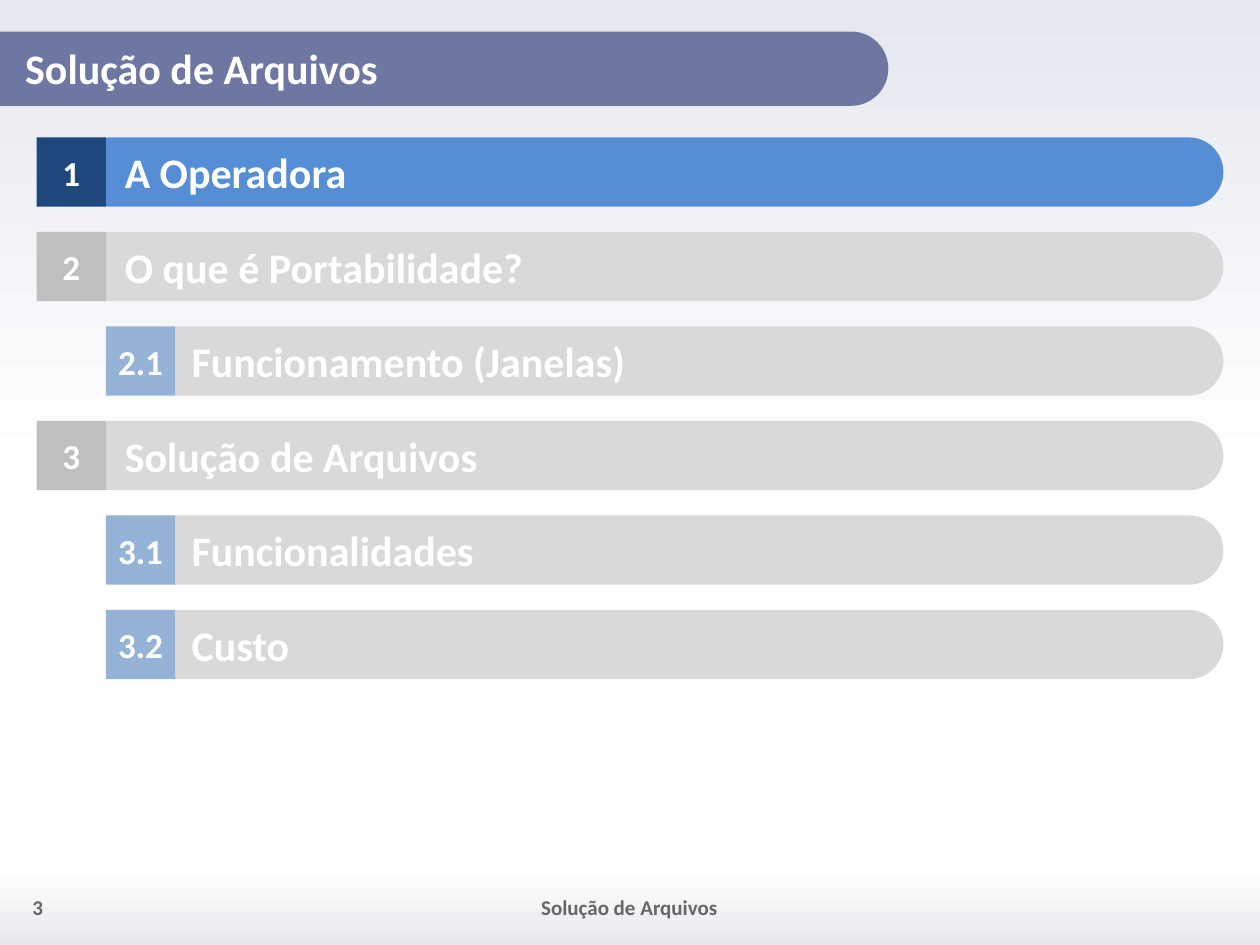
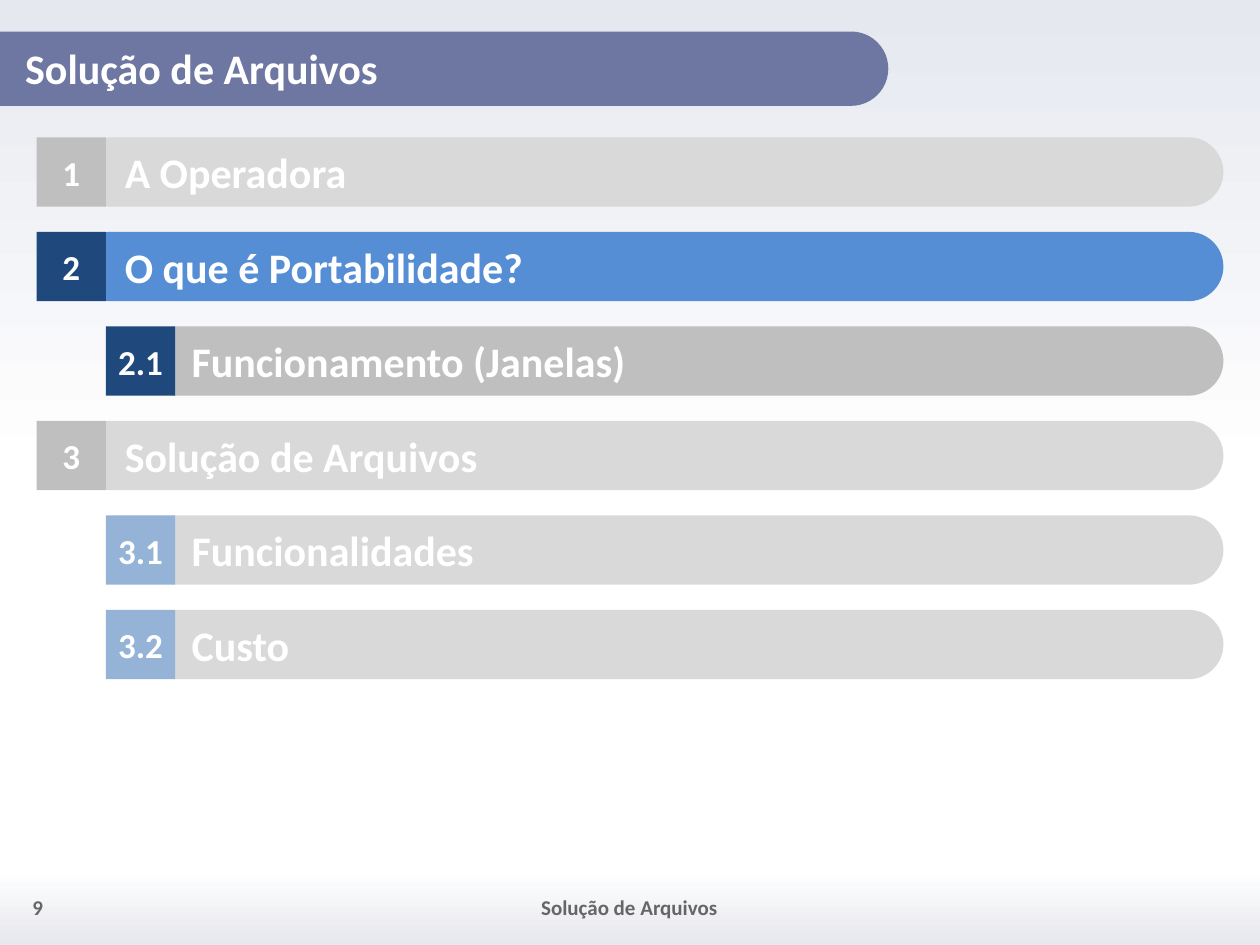
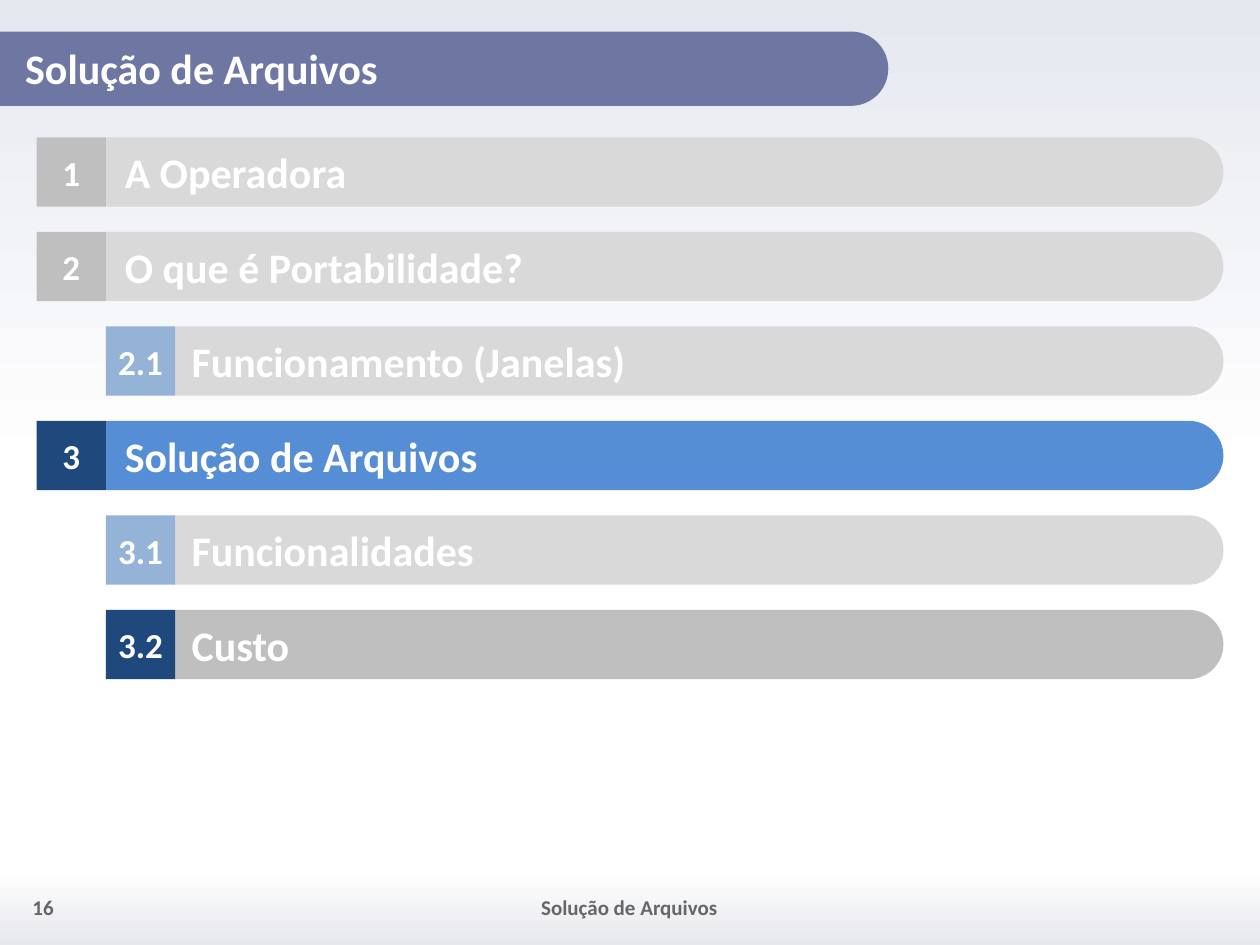
import dataclasses
import typing

import pptx
import pptx.dml.color
import pptx.dml.fill
import pptx.enum.shapes
import pptx.enum.text
import pptx.shapes.autoshape
import pptx.slide
import pptx.util

SHAPE = pptx.enum.shapes.MSO_SHAPE
ALIGN = pptx.enum.text.PP_ALIGN
ANCHOR = pptx.enum.text.MSO_ANCHOR

COLORS = {
    "sky": "E5E8EF",
    "footer band": "E7E8ED",
    "title bar": "6E77A2",
    "footer text": "666666",
    "white": "FFFFFF",
    "navy": "1F497D",
    "blue": "558ED5",
    "pale blue": "95B3D7",
    "gray": "BFBFBF",
    "pale gray": "D9D9D9",
}
FONT = "Calibri"
TITLE = "Solução de Arquivos"

SLIDE_WIDTH, SLIDE_HEIGHT = 10, 7.5
MARGIN = 0.29
TILE = 0.55
FIRST_ROW = 1.09
ROW_PITCH = SLIDE_HEIGHT / 10
BAND_HEIGHT = SLIDE_HEIGHT * 0.08
FOOTER_TOP, FOOTER_HEIGHT = 7, 0.4
TITLE_BAR_LENGTH, TITLE_BAR_HEIGHT, TITLE_BAR_TOP = 7.05, 0.59, 0.25


class Box(typing.NamedTuple):
    left: float
    top: float
    width: float
    height: float


class Insets(typing.NamedTuple):
    left: float = 0.1
    top: float = 0.05
    right: float = 0.1
    bottom: float = 0.05


class RowColors(typing.NamedTuple):
    tile: str
    bar: str


@dataclasses.dataclass(frozen=True)
class Topic:
    number: str
    name: str

    @property
    def level(self) -> int:
        return self.number.count(".")


@dataclasses.dataclass(frozen=True)
class AgendaSlide:
    page: int
    active: tuple[str, ...]


@dataclasses.dataclass(frozen=True)
class TextStyle:
    size: int
    color: str = "white"
    align: ALIGN = ALIGN.LEFT
    anchor: ANCHOR = ANCHOR.MIDDLE
    insets: Insets = Insets()


TITLE_STYLE = TextStyle(24, anchor=ANCHOR.BOTTOM, insets=Insets(0.2, 0, 0.2, 0.1))
BAR_STYLE = TextStyle(24, insets=Insets(left=0.31))
TILE_STYLE = TextStyle(20, align=ALIGN.CENTER, insets=Insets(0, 0, 0, 0))
FOOTER_STYLE = TextStyle(12, "footer text", ALIGN.CENTER)
PAGE_STYLE = TextStyle(12, "footer text")

# Both are indexed by topic level.
BAR_OFFSETS = (0.31, 0.29)
ROW_COLORS = (
    {True: RowColors("navy", "blue"), False: RowColors("gray", "pale gray")},
    {True: RowColors("navy", "gray"), False: RowColors("pale blue", "pale gray")},
)

TOPICS = (
    Topic("1", "A Operadora"),
    Topic("2", "O que é Portabilidade?"),
    Topic("2.1", "Funcionamento (Janelas)"),
    Topic("3", "Solução de Arquivos"),
    Topic("3.1", "Funcionalidades"),
    Topic("3.2", "Custo"),
)
SLIDES = (
    AgendaSlide(3, ("1",)),
    AgendaSlide(9, ("2", "2.1")),
    AgendaSlide(16, ("3", "3.2")),
)


def rgb(color: str) -> pptx.dml.color.RGBColor:
    return pptx.dml.color.RGBColor.from_string(COLORS[color])


def inches(box: Box) -> list[pptx.util.Length]:
    return [pptx.util.Inches(length) for length in box]


def fade_to_white(
    fill: pptx.dml.fill.FillFormat, color: str, end: float, angle: int
) -> None:
    """Fill with a gradient; the angle runs counter-clockwise."""
    fill.gradient()
    fill.gradient_angle = angle
    for stop, name, position in zip(fill.gradient_stops, (color, "white"), (0, end)):
        stop.color.rgb = rgb(name)
        stop.position = position


def write(
    shape: pptx.shapes.autoshape.Shape, text: str, style: TextStyle
) -> None:
    frame = shape.text_frame
    frame.word_wrap = True
    frame.vertical_anchor = style.anchor
    (frame.margin_left, frame.margin_top, frame.margin_right,
     frame.margin_bottom) = map(pptx.util.Inches, style.insets)
    paragraph = frame.paragraphs[0]
    paragraph.text = text
    paragraph.alignment = style.align
    paragraph.font.name = FONT
    paragraph.font.size = pptx.util.Pt(style.size)
    paragraph.font.bold = True
    paragraph.font.color.rgb = rgb(style.color)


def add_text(slide: pptx.slide.Slide, box: Box, text: str, style: TextStyle) -> None:
    write(slide.shapes.add_textbox(*inches(box)), text, style)


def add_plain_shape(
    slide: pptx.slide.Slide, kind: SHAPE, box: Box, color: str
) -> pptx.shapes.autoshape.Shape:
    """Add a shape without outline or shadow."""
    shape = slide.shapes.add_shape(kind, *inches(box))
    shape.shadow.inherit = False
    shape.line.fill.background()
    shape.fill.solid()
    shape.fill.fore_color.rgb = rgb(color)
    return shape


def add_title_bar(slide: pptx.slide.Slide) -> None:
    # The upright shape turns about its centre to lie along the left edge.
    turn = (TITLE_BAR_LENGTH - TITLE_BAR_HEIGHT) / 2
    box = Box(turn, TITLE_BAR_TOP - turn, TITLE_BAR_HEIGHT, TITLE_BAR_LENGTH)
    bar = add_plain_shape(slide, SHAPE.ROUND_2_SAME_RECTANGLE, box, "title bar")
    bar.rotation = 90
    bar.adjustments[0], bar.adjustments[1] = 0.5, 0


def add_frame(slide: pptx.slide.Slide, page: int) -> None:
    """Draw the background, title and footer that every slide shares."""
    fade_to_white(slide.background.fill, "sky", 0.5, 270)
    band_box = Box(0, SLIDE_HEIGHT - BAND_HEIGHT, SLIDE_WIDTH, BAND_HEIGHT)
    band = add_plain_shape(slide, SHAPE.RECTANGLE, band_box, "footer band")
    fade_to_white(band.fill, "footer band", 1, 90)
    add_title_bar(slide)
    title_box = Box(0, 0, SLIDE_WIDTH, TITLE_BAR_TOP + TITLE_BAR_HEIGHT)
    add_text(slide, title_box, TITLE, TITLE_STYLE)
    footer_box = Box(1.95, FOOTER_TOP, 6.09, FOOTER_HEIGHT)
    add_text(slide, footer_box, TITLE, FOOTER_STYLE)
    add_text(slide, Box(0.16, FOOTER_TOP, 0.7, FOOTER_HEIGHT), str(page), PAGE_STYLE)


def add_topic(slide: pptx.slide.Slide, topic: Topic, row: int, active: bool) -> None:
    colors = ROW_COLORS[topic.level][active]
    top = FIRST_ROW + row * ROW_PITCH
    left = MARGIN + topic.level * TILE
    bar_left = left + BAR_OFFSETS[topic.level]
    bar_box = Box(bar_left, top, SLIDE_WIDTH - MARGIN - bar_left, TILE)
    bar = add_plain_shape(slide, SHAPE.ROUNDED_RECTANGLE, bar_box, colors.bar)
    bar.adjustments[0] = 0.5
    write(bar, topic.name, BAR_STYLE)
    tile_box = Box(left, top, TILE, TILE)
    tile = add_plain_shape(slide, SHAPE.RECTANGLE, tile_box, colors.tile)
    write(tile, topic.number, TILE_STYLE)


def main() -> None:
    presentation = pptx.Presentation()
    presentation.slide_width = pptx.util.Inches(SLIDE_WIDTH)
    presentation.slide_height = pptx.util.Inches(SLIDE_HEIGHT)
    blank_layout = presentation.slide_layouts[6]
    for agenda in SLIDES:
        slide = presentation.slides.add_slide(blank_layout)
        add_frame(slide, agenda.page)
        for row, topic in enumerate(TOPICS):
            add_topic(slide, topic, row, topic.number in agenda.active)
    presentation.save("out.pptx")


if __name__ == "__main__":
    main()
